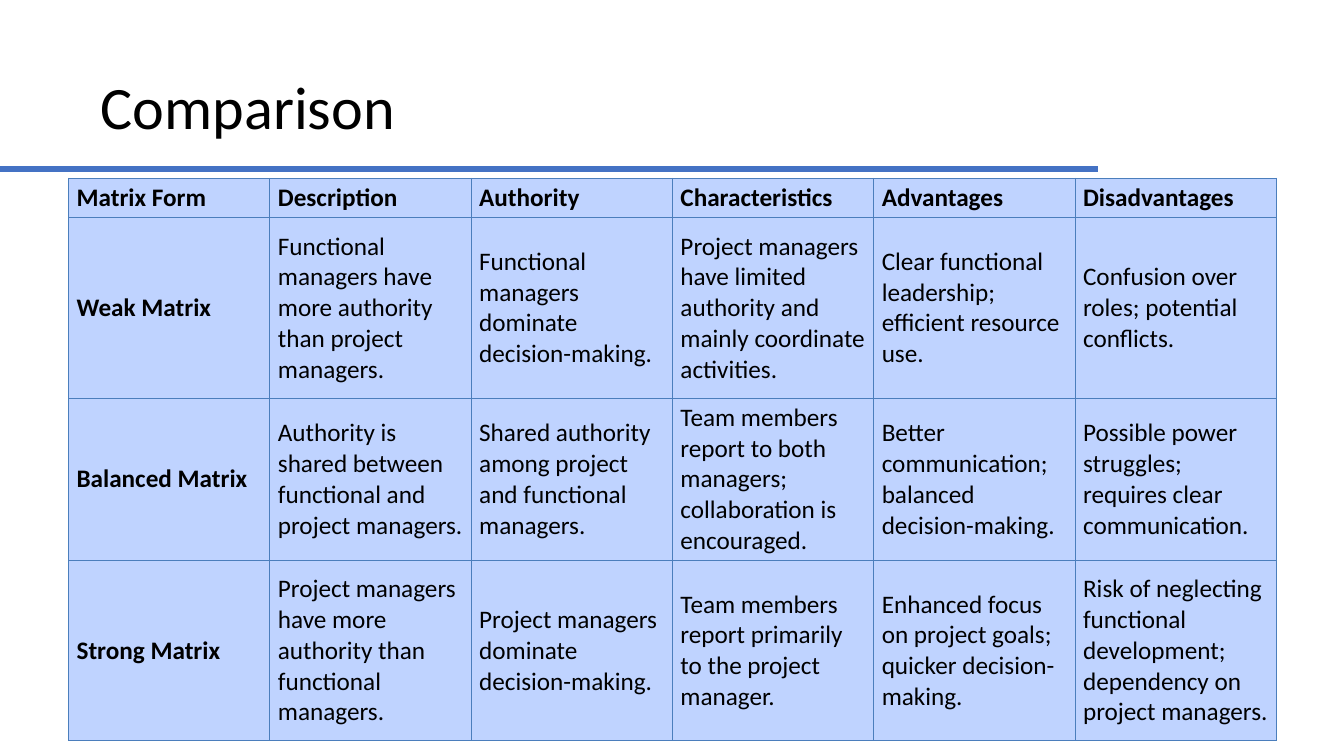
from lxml.etree import SubElement
from pptx import Presentation
from pptx.dml.color import RGBColor
from pptx.enum.shapes import MSO_CONNECTOR as Connector
from pptx.enum.text import MSO_ANCHOR as Anchor
from pptx.oxml.ns import qn
from pptx.util import Inches, Pt

WIDTH, HEIGHT = 13.33, 7.5
FONT = "Calibri"
COLORS = {"text": "000000", "rule": "4472C4", "cell": "BFD3FF", "border": "4B7EBC"}
ROW_HEIGHTS = [0.39, 1.79, 1.61, 1.79]
MATRIX_ROWS = [
    ["Matrix Form", "Description", "Authority", "Characteristics", "Advantages", "Disadvantages"],
    [
        "Weak Matrix",
        "Functional managers have more authority than project managers.",
        "Functional managers dominate decision-making.",
        "Project managers have limited authority and mainly coordinate activities.",
        "Clear functional leadership; efficient resource use.",
        "Confusion over roles; potential conflicts.",
    ],
    [
        "Balanced Matrix",
        "Authority is shared between functional and project managers.",
        "Shared authority among project and functional managers.",
        "Team members report to both managers; collaboration is encouraged.",
        "Better communication; balanced decision-making.",
        "Possible power struggles; requires clear communication.",
    ],
    [
        "Strong Matrix",
        "Project managers have more authority than functional managers.",
        "Project managers dominate decision-making.",
        "Team members report primarily to the project manager.",
        "Enhanced focus on project goals; quicker decision-making.",
        "Risk of neglecting functional development; dependency on project managers.",
    ],
]


def color(name):
    return RGBColor.from_string(COLORS[name])


def write_text(frame, text, size, bold=False, margins=(0, 0)):
    frame.word_wrap = True
    frame.margin_left = frame.margin_right = Inches(margins[0])
    frame.margin_top = frame.margin_bottom = Inches(margins[1])
    paragraph = frame.paragraphs[0]
    paragraph.text = text
    font = paragraph.runs[0].font
    font.name, font.size, font.bold = FONT, Pt(size), bold
    font.color.rgb = color("text")


def add_title(slide, left, top, width, height):
    box = slide.shapes.add_textbox(*map(Inches, (left, top, width, height)))
    box.text_frame.vertical_anchor = Anchor.MIDDLE
    write_text(box.text_frame, "Comparison", 43)


def add_rule(slide, left, top, width):
    ends = map(Inches, (left, top, left + width, top))
    rule = slide.shapes.add_connector(Connector.STRAIGHT, *ends)
    rule.line.color.rgb = color("rule")
    rule.line.width = Pt(4.5)
    SubElement(rule._element.spPr, qn("a:effectLst"))


def add_borders(cell):
    properties = cell._tc.get_or_add_tcPr()
    for side in "LRTB":
        line = SubElement(properties, qn(f"a:ln{side}"), w=str(Pt(0.75)))
        fill = SubElement(line, qn("a:solidFill"))
        SubElement(fill, qn("a:srgbClr"), val=COLORS["border"])


def add_comparison_table(slide, left, top, width):
    column_count = len(MATRIX_ROWS[0])
    box = map(Inches, (left, top, width, sum(ROW_HEIGHTS)))
    table = slide.shapes.add_table(len(MATRIX_ROWS), column_count, *box).table
    table.horz_banding = False
    for column in table.columns:
        column.width = Inches(width / column_count)
    for row_index, (row, height) in enumerate(zip(table.rows, ROW_HEIGHTS)):
        row.height = Inches(height)
        for column_index, cell in enumerate(row.cells):
            add_borders(cell)
            cell.fill.solid()
            cell.fill.fore_color.rgb = color("cell")
            is_heading = row_index == 0 or column_index == 0
            write_text(cell.text_frame, MATRIX_ROWS[row_index][column_index], 18, bold=is_heading)
            cell.margin_left = cell.margin_right = Inches(0.08)
            cell.margin_top = cell.margin_bottom = Inches(0.04)
            cell.vertical_anchor = Anchor.MIDDLE


def main():
    presentation = Presentation()
    presentation.slide_width = Inches(WIDTH)
    presentation.slide_height = Inches(HEIGHT)
    slide = presentation.slides.add_slide(presentation.slide_layouts[6])
    add_rule(slide, 0, 1.68, 10.89)
    add_title(slide, 1, 0.67, 12.28, 0.75)
    add_comparison_table(slide, 0.68, 1.77, 11.98)
    presentation.save("out.pptx")


if __name__ == "__main__":
    main()
